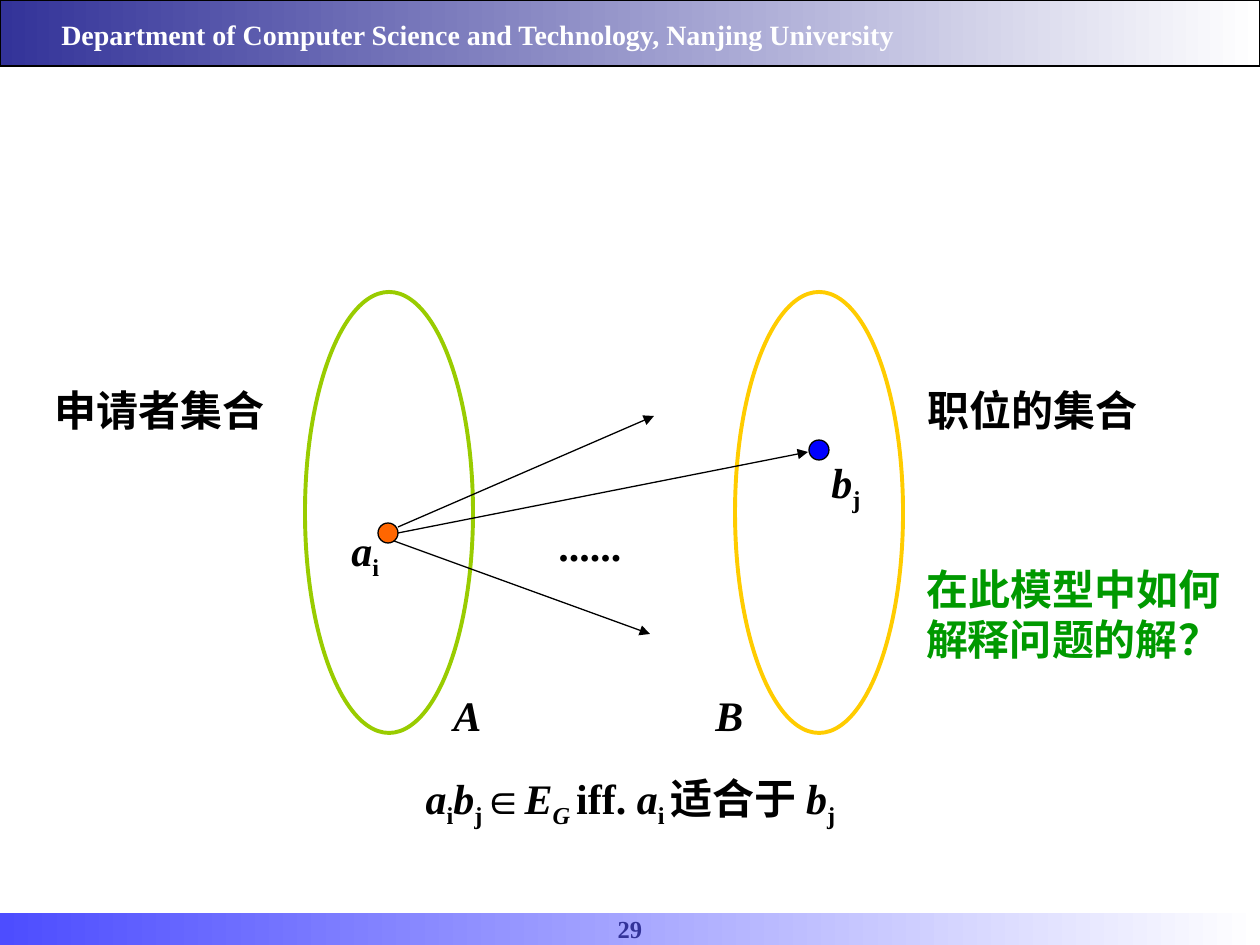
from lxml.etree import SubElement
from pptx import Presentation
from pptx.dml.color import RGBColor
from pptx.enum.shapes import MSO_CONNECTOR, MSO_SHAPE
from pptx.enum.text import PP_ALIGN
from pptx.oxml.ns import qn
from pptx.util import Emu, Pt

PX = 914400 / 126
W, H = 1260, 945
SERIF = "Times New Roman"
BLACK, NAVY, WHITE, GREEN = "000000", "333399", "FFFFFF", "009900"
LEFT, CENTER, JUSTIFY = PP_ALIGN.LEFT, PP_ALIGN.CENTER, PP_ALIGN.JUSTIFY

# Bands: top, height, start colour, end colour, outline
BANDS = [
    (0, 66, NAVY, WHITE, BLACK),
    (913, 32, "4D4DFF", WHITE, None),
]

# Sets and their elements: left, top, width, height, fill, outline, line width
OVALS = [
    (305, 292, 168, 441, None, "99CC00", 2.25),
    (735, 292, 168, 441, None, "FFCC00", 2.25),
    (378, 523, 20, 20, "FF6600", BLACK, 0.75),
    (809, 440, 20, 20, "0000FF", BLACK, 0.75),
]

# Arrows from the applicant: start, end
ARROWS = [
    ((398, 533), (808, 452)),
    ((398, 527), (654, 416)),
    ((394, 541), (650, 634)),
]

# Labels: left, top, width, height, runs of (text, style); i = italic, s = subscript
LABELS = [
    (441, 683, 105, 63, [("A", "i")], LEFT),
    (703, 683, 105, 63, [("B", "i")], LEFT),
    (339, 518, 105, 63, [("a", "i"), ("i", "s")], LEFT),
    (819, 450, 105, 63, [("b", "i"), ("j", "s")], LEFT),
    (546, 513, 136, 63, [("......", "")], LEFT),
    (42, 378, 253, 63, [("申请者集合", "")], LEFT),
    (915, 378, 277, 63, [("职位的集合", "")], LEFT),
    (368, 766, 525, 63, [
        ("a", "i"), ("i", "s"), ("b", "i"), ("j", "s"), ("∈", ""), ("E", "i"),
        ("G ", "is"), ("iff. ", ""), ("a", "i"), ("i ", "s"), ("适合于 ", ""),
        ("b", "i"), ("j", "s")], CENTER),
]

prs = Presentation()
prs.slide_width, prs.slide_height = Emu(round(W * PX)), Emu(round(H * PX))
s = prs.slides.add_slide(prs.slide_layouts[6])


def emu(*lengths):
    return [Emu(round(v * PX)) for v in lengths]


def rgb(color):
    return RGBColor.from_string(color)


def set_line(line, color, width=0.75):
    if color:
        line.color.rgb = rgb(color)
        line.width = Pt(width)
    else:
        line.fill.background()


def add_band(top, height, start, end, outline):
    sp = s.shapes.add_shape(MSO_SHAPE.RECTANGLE, *emu(0, top, W, height))
    sp.shadow.inherit = False
    sp.fill.gradient()
    sp.fill.gradient_angle = 0
    for stop, position, color in zip(sp.fill.gradient_stops, (0, 1), (start, end)):
        stop.position = position
        stop.color.rgb = rgb(color)
    set_line(sp.line, outline)


def add_oval(x, y, w, h, fill, outline, width):
    sp = s.shapes.add_shape(MSO_SHAPE.OVAL, *emu(x, y, w, h))
    sp.shadow.inherit = False
    if fill:
        sp.fill.solid()
        sp.fill.fore_color.rgb = rgb(fill)
    else:
        sp.fill.background()
    set_line(sp.line, outline, width)


def add_arrow(start, end):
    c = s.shapes.add_connector(MSO_CONNECTOR.STRAIGHT, *emu(*start, *end))
    set_line(c.line, BLACK)
    SubElement(c.line._get_or_add_ln(), qn("a:tailEnd"), type="triangle")
    SubElement(c._element.spPr, qn("a:effectLst"))


def add_text(x, y, w, h, runs, align, size=24, color=BLACK, font=SERIF):
    tf = s.shapes.add_textbox(*emu(x, y, w, h)).text_frame
    tf.word_wrap = True
    p = tf.paragraphs[0]
    p.alignment = align
    for text, style in runs:
        r = p.add_run()
        r.text = text
        r.font.name, r.font.size = font, Pt(size)
        r.font.bold, r.font.italic = True, "i" in style
        r.font.color.rgb = rgb(color)
        if "s" in style:
            r._r.get_or_add_rPr().set("baseline", "-25000")
    return p


# Header and footer
for band in BANDS:
    add_band(*band)
add_text(0, 908, W, 42, [("29", "")], CENTER, 14, NAVY)
header = add_text(
    49, 15, 892, 84,
    [("Department of Computer Science and Technology, Nanjing University", "")],
    JUSTIFY, 16, WHITE)
header.line_spacing = 0.9

# Bipartite model
for oval in OVALS:
    add_oval(*oval)
for arrow in ARROWS:
    add_arrow(*arrow)
for label in LABELS:
    add_text(*label)

# Closing question
add_text(905, 557, 336, 115, [("在此模型中如何解释问题的解？", "")],
         CENTER, color=GREEN, font="Lato")

prs.save("out.pptx")
